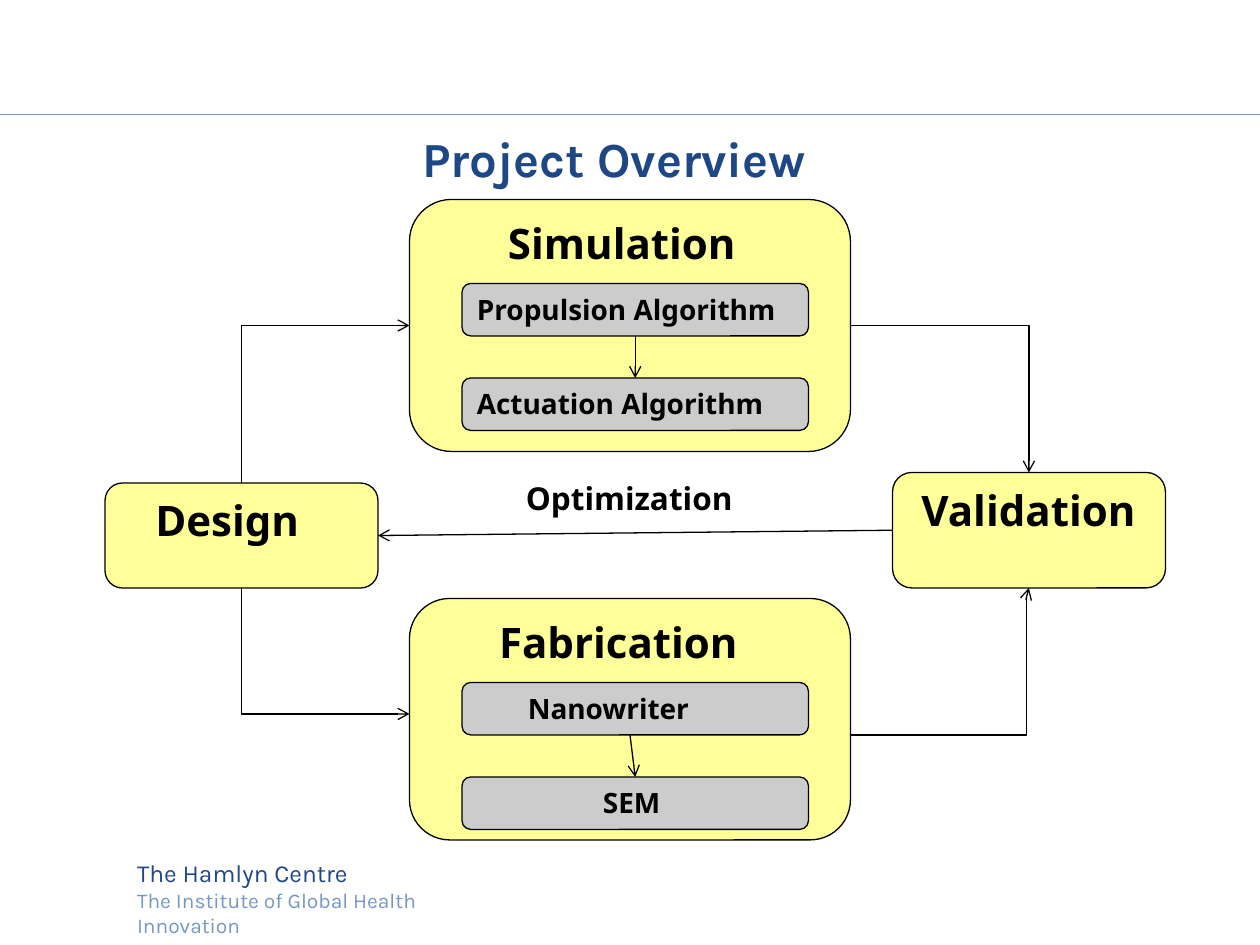
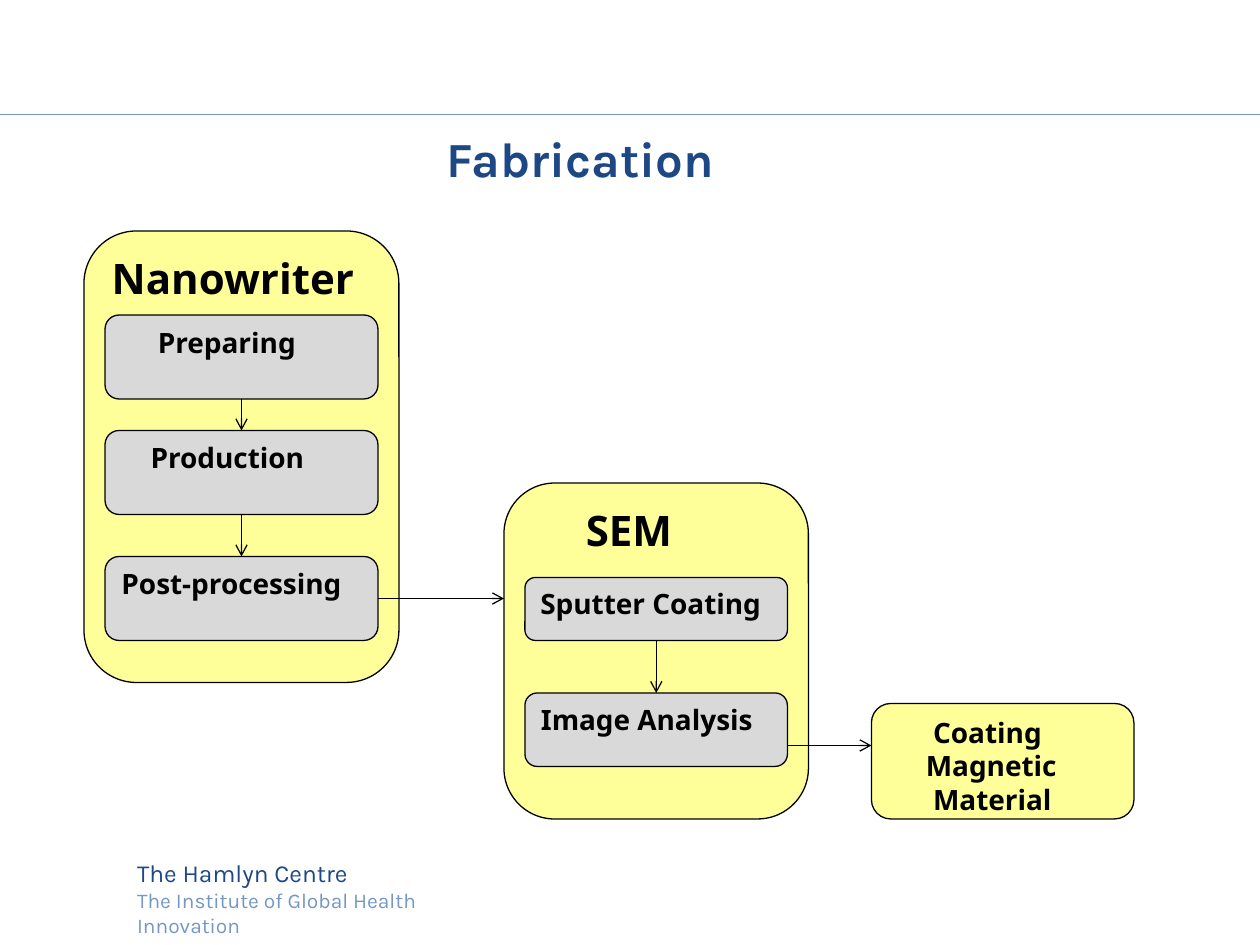
import pptx
import pptx.util
import pptx.dml.color
import pptx.enum.shapes
import pptx.enum.text
import pptx.oxml
import pptx.oxml.ns

Pt = pptx.util.Pt
SHAPE = pptx.enum.shapes.MSO_SHAPE
LINK = pptx.enum.shapes.MSO_CONNECTOR

COLORS = {
    "navy": "1E4786",
    "steel": "7598C2",
    "stage": "FFFF99",
    "algorithm": "CCCCCC",
    "step": "D9D9D9",
    "ink": "000000",
}
HEADING_FONT, BODY_FONT = "Karla", "Noto Sans"
TITLE_ONLY = 5
TOP, LEFT, BOTTOM, RIGHT = range(4)


def rgb(color):
    return pptx.dml.color.RGBColor.from_string(COLORS[color])


def write(paragraph, text, size, color="ink", font=BODY_FONT, bold=True, indent=0):
    """Fill a left-aligned paragraph, indented by the given points."""
    paragraph.text = text
    paragraph.alignment = pptx.enum.text.PP_ALIGN.LEFT
    if indent:
        properties = paragraph._p.get_or_add_pPr()
        properties.set("marL", str(Pt(indent)))
        properties.set("indent", "0")
    paragraph.font.name = font
    paragraph.font.size = Pt(size)
    paragraph.font.bold = bold
    paragraph.font.color.rgb = rgb(color)


def add_label(slide, left, top, width, height):
    """Add an empty wrapping text box and return its text frame."""
    frame = slide.shapes.add_textbox(Pt(left), Pt(top), Pt(width), Pt(height)).text_frame
    frame.word_wrap = True
    return frame


def add_box(slide, bounds, fill, size, *lines):
    """Add a rounded box; each line is a pair of text and indent."""
    box = slide.shapes.add_shape(SHAPE.ROUNDED_RECTANGLE, *map(Pt, bounds))
    box.shadow.inherit = False
    box.fill.solid()
    box.fill.fore_color.rgb = rgb(fill)
    box.line.color.rgb = rgb("ink")
    box.line.width = Pt(0.75)
    frame = box.text_frame
    frame.word_wrap = True
    frame.vertical_anchor = pptx.enum.text.MSO_ANCHOR.TOP
    for number, (text, indent) in enumerate(lines):
        paragraph = frame.add_paragraph() if number else frame.paragraphs[0]
        write(paragraph, text, size, indent=indent)
    return box


def add_line(slide, start, end, color="ink", kind=LINK.STRAIGHT):
    line = slide.shapes.add_connector(kind, *map(Pt, start + end))
    line.line.color.rgb = rgb(color)
    line.line.width = Pt(0.75)
    pptx.oxml.ns.qn("a:effectLst")
    line._element.spPr.append(
        line._element.spPr.makeelement(pptx.oxml.ns.qn("a:effectLst"), {}))
    return line


def add_arrow(slide, start, end, kind=LINK.STRAIGHT):
    arrow = add_line(slide, start, end, kind=kind)
    outline = arrow.line._get_or_add_ln()
    outline.append(outline.makeelement(pptx.oxml.ns.qn("a:tailEnd"), {"type": "arrow"}))
    return arrow


def add_elbow(slide, start, end, bend):
    """Add a bent arrow that turns at a share (in 1/100000) of its width."""
    elbow = add_arrow(slide, start, end, LINK.ELBOW)
    guides = elbow._element.spPr.find(".//" + pptx.oxml.ns.qn("a:avLst"))
    guides.append(guides.makeelement(
        pptx.oxml.ns.qn("a:gd"), {"name": "adj1", "fmla": f"val {bend}"}))


def join(slide, source, source_side, target, target_side):
    arrow = add_arrow(slide, (0, 0), (0, 0))
    arrow.begin_connect(source, source_side)
    arrow.end_connect(target, target_side)


def add_slide(deck, title, indent):
    """Add a slide with the shared rule, footer and title."""
    slide = deck.slides.add_slide(deck.slide_layouts[TITLE_ONLY])
    heading = slide.shapes.title
    heading.left, heading.top, heading.width, heading.height = map(Pt, (18, 66, 648, 48))
    frame = heading.text_frame
    frame.auto_size = pptx.enum.text.MSO_AUTO_SIZE.NONE
    frame.vertical_anchor = pptx.enum.text.MSO_ANCHOR.MIDDLE
    write(frame.paragraphs[0], title, 28, "navy", HEADING_FONT, indent=indent)

    add_line(slide, (0, 65.5), (720, 65.5), "steel")
    footer = add_label(slide, 71.3, 486.7, 230, 39)
    write(footer.paragraphs[0], "The Hamlyn Centre", 14, "navy", HEADING_FONT, False)
    write(footer.add_paragraph(), "The Institute of Global Health Innovation", 12,
          "steel", HEADING_FONT, False)
    return slide


def build_overview(deck):
    slide = add_slide(deck, "Project Overview", 216)
    add_box(slide, (234, 114, 252, 144), "stage", 24, ("Simulation", 42.2))
    add_box(slide, (234, 342, 252, 138), "stage", 24, ("Fabrication", 37.4))
    design = add_box(slide, (60, 276, 156, 60), "stage", 24, ("Design", 18.7))
    validation = add_box(slide, (510, 270, 156, 66), "stage", 24, ("Validation", 6.2))

    add_elbow(slide, (138, 276), (234, 186), 0)
    add_elbow(slide, (138, 336), (234, 408), 0)
    add_elbow(slide, (486, 186), (588, 270), 100000)
    add_elbow(slide, (486, 420), (588, 336), 98600)
    join(slide, validation, LEFT, design, RIGHT)

    propulsion, actuation, printing, microscopy = [
        add_box(slide, (264, top, 198, 30), "algorithm", 16, (text, indent))
        for text, top, indent in (
            ("Propulsion Algorithm", 162, 0),
            ("Actuation Algorithm", 216, 0),
            ("Nanowriter", 390, 29.1),
            ("SEM", 444, 72),
        )
    ]
    join(slide, propulsion, BOTTOM, actuation, TOP)
    add_arrow(slide, (360, 420), (363, 444)).end_connect(microscopy, TOP)

    optimization = add_label(slide, 270, 270, 204, 29)
    write(optimization.paragraphs[0], "Optimization", 18, indent=23.4)


def build_fabrication(deck):
    slide = add_slide(deck, "Fabrication", 229.7)
    add_box(slide, (48, 132, 180, 258), "stage", 24, ("Nanowriter", 0))
    add_box(slide, (288, 276, 174, 192), "stage", 24, ("SEM", 31.2))
    add_box(slide, (498, 402, 150, 66), "stage", 16,
            ("Coating", 25), ("Magnetic", 20.8), ("Material", 25))

    preparing, production, post_processing = [
        add_box(slide, (60, top, 156, 48), "step", 16, (text, indent))
        for text, top, indent in (
            ("Preparing", 180, 20.8),
            ("Production", 246, 16.6),
            ("Post-processing", 318, 0),
        )
    ]
    sputter = add_box(slide, (300, 330, 150, 36), "step", 16, ("Sputter Coating", 0))
    analysis = add_box(slide, (300, 396, 150, 42), "step", 16, ("Image Analysis", 0))

    for source, target in ((preparing, production), (production, post_processing),
                           (sputter, analysis)):
        join(slide, source, BOTTOM, target, TOP)
    add_arrow(slide, (216, 342), (288, 342)).begin_connect(post_processing, RIGHT)
    add_arrow(slide, (450, 426), (498, 426))


def main():
    deck = pptx.Presentation()
    deck.slide_width, deck.slide_height = Pt(720), Pt(540)
    build_overview(deck)
    build_fabrication(deck)
    deck.save("out.pptx")


if __name__ == "__main__":
    main()
